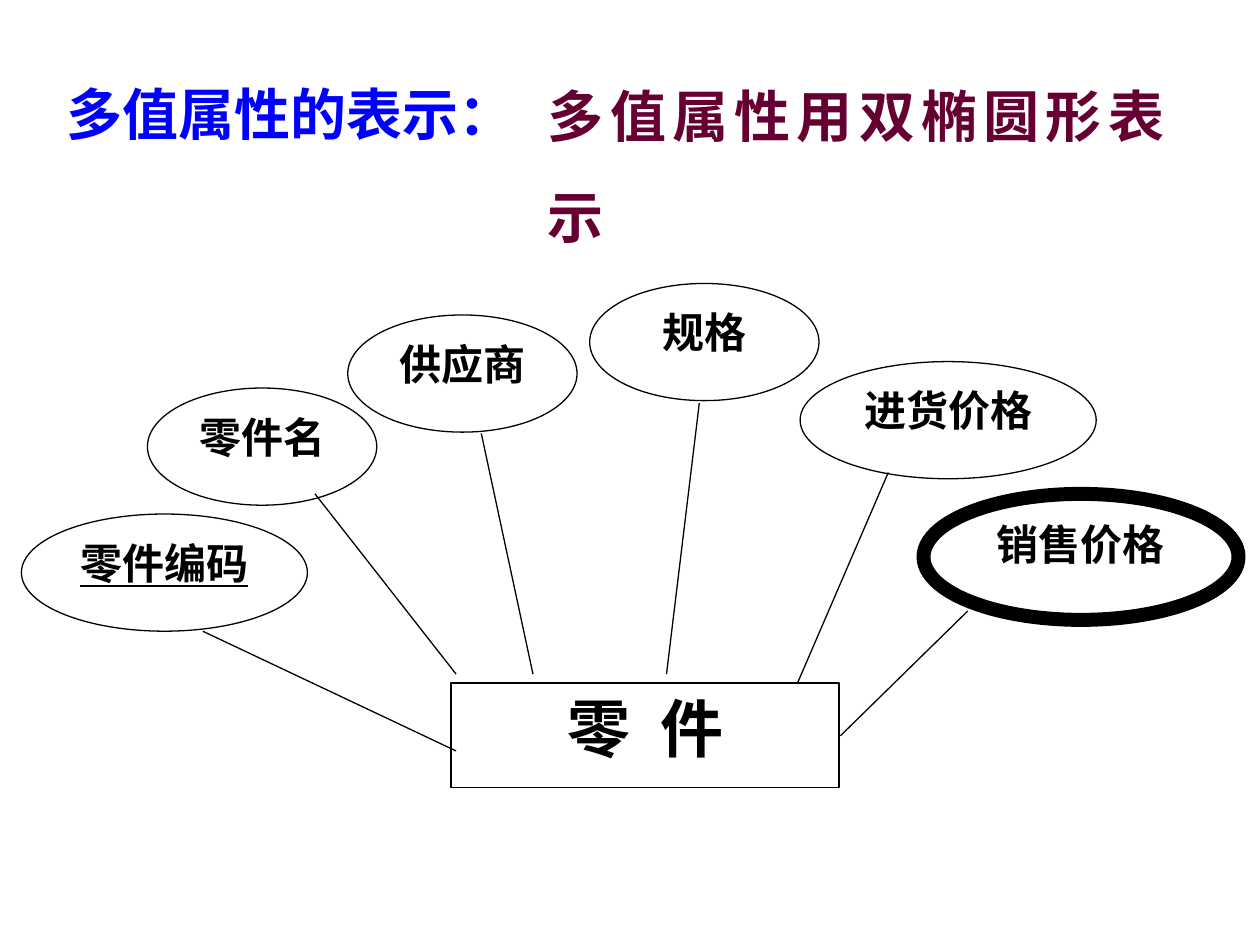
import pptx
import pptx.util
import pptx.oxml.ns
import pptx.dml.color
import pptx.enum.shapes
import pptx.enum.text
import lxml.etree

WIDTH, HEIGHT = 10, 7.5
SHAPE = pptx.enum.shapes.MSO_SHAPE
ALIGN = pptx.enum.text.PP_ALIGN


def color(value):
    return pptx.dml.color.RGBColor.from_string(value)


def write(shape, text, size=24, font="Times New Roman", ink="000000",
          align=ALIGN.CENTER, underline=None, line_spacing=None, tracking=None):
    """Fill a shape with one formatted bold paragraph."""
    frame = shape.text_frame
    frame.word_wrap = True
    frame.vertical_anchor = pptx.enum.text.MSO_ANCHOR.TOP
    para = frame.paragraphs[0]
    para.alignment = align
    para.line_spacing = line_spacing
    span = para.add_run()
    span.text = text
    span.font.size = pptx.util.Pt(size)
    span.font.name = font
    span.font.bold = True
    span.font.underline = underline
    span.font.color.rgb = color(ink)
    properties = span.font._element
    east_asian = lxml.etree.SubElement(properties, pptx.oxml.ns.qn("a:ea"))
    east_asian.set("typeface", "Noto Sans CJK SC")
    if tracking:
        properties.set("spc", str(int(tracking * 100)))


class Diagram:
    """Style and current slide; places are shares of the slide's size."""
    ink, paper = "000000", "FFFFFF"
    thin = 0.75

    def __init__(self, deck):
        self.page = deck.slides.add_slide(deck.slide_layouts[6])
        self.width, self.height = deck.slide_width, deck.slide_height

    def place(self, x, y):
        return round(x * self.width), round(y * self.height)

    def node(self, kind, x, y, w, h, text, line=thin, **style):
        shape = self.page.shapes.add_shape(
            kind, *self.place(x, y), *self.place(w, h))
        shape.shadow.inherit = False
        shape.fill.solid()
        shape.fill.fore_color.rgb = color(self.paper)
        shape.line.color.rgb = color(self.ink)
        shape.line.width = pptx.util.Pt(line)
        write(shape, text, **style)

    def link(self, start, end):
        line = self.page.shapes.add_connector(
            pptx.enum.shapes.MSO_CONNECTOR.STRAIGHT,
            *self.place(*start), *self.place(*end))
        line.line.color.rgb = color(self.ink)
        line.line.width = pptx.util.Pt(self.thin)
        lxml.etree.SubElement(line._element.spPr, pptx.oxml.ns.qn("a:effectLst"))

    def heading(self, x, y, w, h, text, inset=0.1, **style):
        box = self.page.shapes.add_textbox(*self.place(x, y), *self.place(w, h))
        box.text_frame.margin_left = pptx.util.Inches(inset)
        write(box, text, size=32, font="Noto Sans CJK SC",
              align=ALIGN.JUSTIFY, **style)


def share(x, y):
    """Turn inches into shares of the slide."""
    return x / WIDTH, y / HEIGHT


def main():
    deck = pptx.Presentation()
    deck.slide_width = pptx.util.Inches(WIDTH)
    deck.slide_height = pptx.util.Inches(HEIGHT)
    diagram = Diagram(deck)

    # Entity
    diagram.node(SHAPE.RECTANGLE, *share(3.58, 5.42), *share(3.08, 0.83),
                 "零 件", size=36, tracking=4.5)

    # Attributes: text, left, top, width, height, then special style
    attributes = [
        ("零件编码", 0.17, 4.08, 2.27, 0.93, {"underline": True}),
        ("零件名", 1.17, 3.08, 1.82, 0.93, {}),
        ("供应商", 2.76, 2.5, 1.82, 0.93, {}),
        ("规格", 4.68, 2.25, 1.82, 0.93, {}),
        ("进货价格", 6.35, 2.87, 2.35, 0.93, {}),
        ("销售价格", 7.33, 3.92, 2.5, 1, {"line": 8}),
    ]
    for text, x, y, w, h, style in attributes:
        diagram.node(SHAPE.OVAL, *share(x, y), *share(w, h), text, **style)

    # Links from attributes to the entity
    links = [
        ((1.61, 5.01), (3.62, 5.96)),
        ((2.5, 3.92), (3.62, 5.35)),
        ((3.82, 3.44), (4.23, 5.35)),
        ((5.55, 3.2), (5.29, 5.35)),
        ((7.05, 3.75), (6.33, 5.42)),
        ((7.68, 4.85), (6.67, 5.84)),
    ]
    for start, end in links:
        diagram.link(share(*start), share(*end))

    # Headings
    diagram.heading(*share(0.33, 0.58), *share(4.92, 0.63), "多值属性的表示：",
                    inset=0.2, ink="0000FF")
    diagram.heading(*share(4.25, 0.33), *share(5.09, 0.9),
                    "多值属性用双椭圆形表示", ink="660033", line_spacing=1.5)

    deck.save("out.pptx")


if __name__ == "__main__":
    main()
